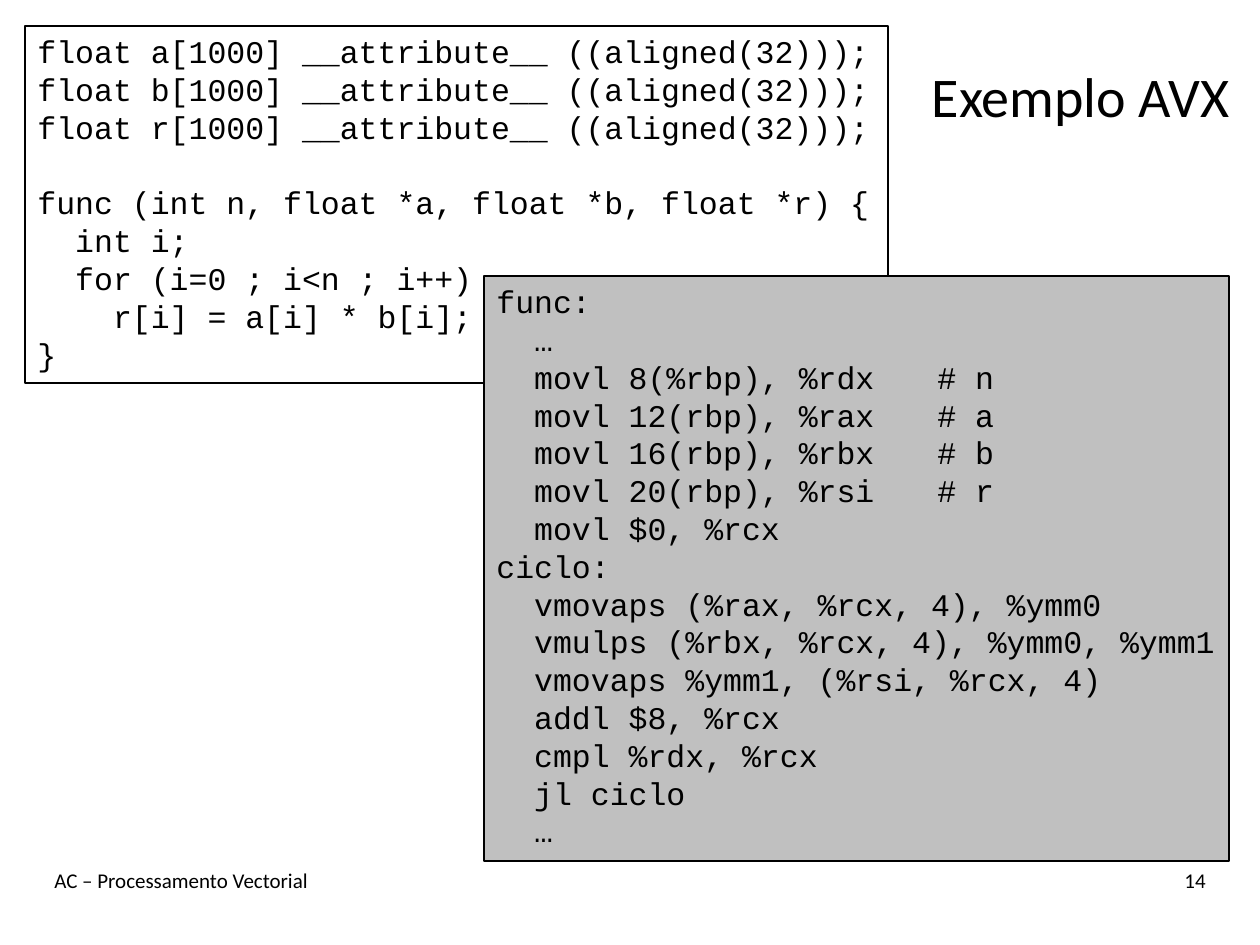
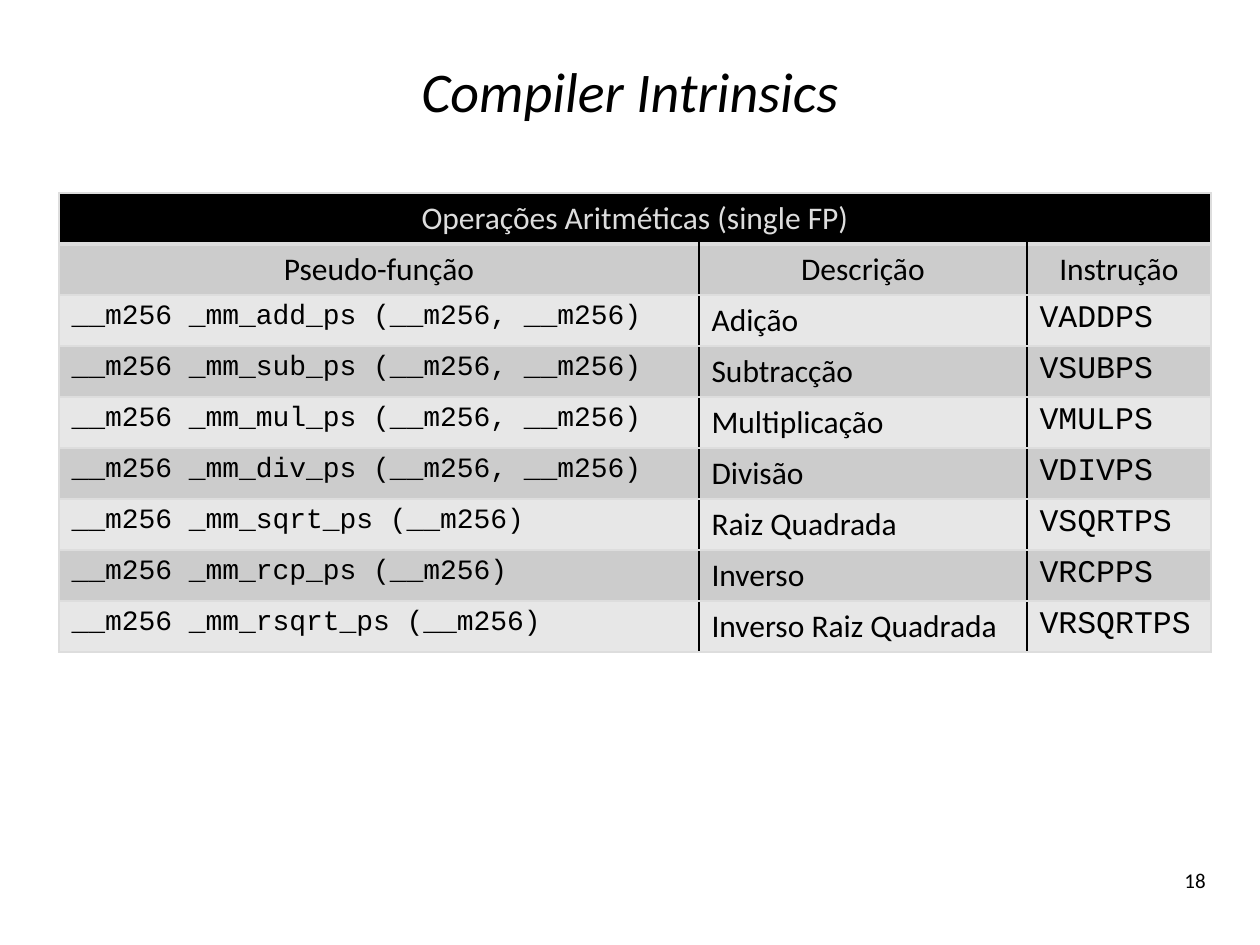
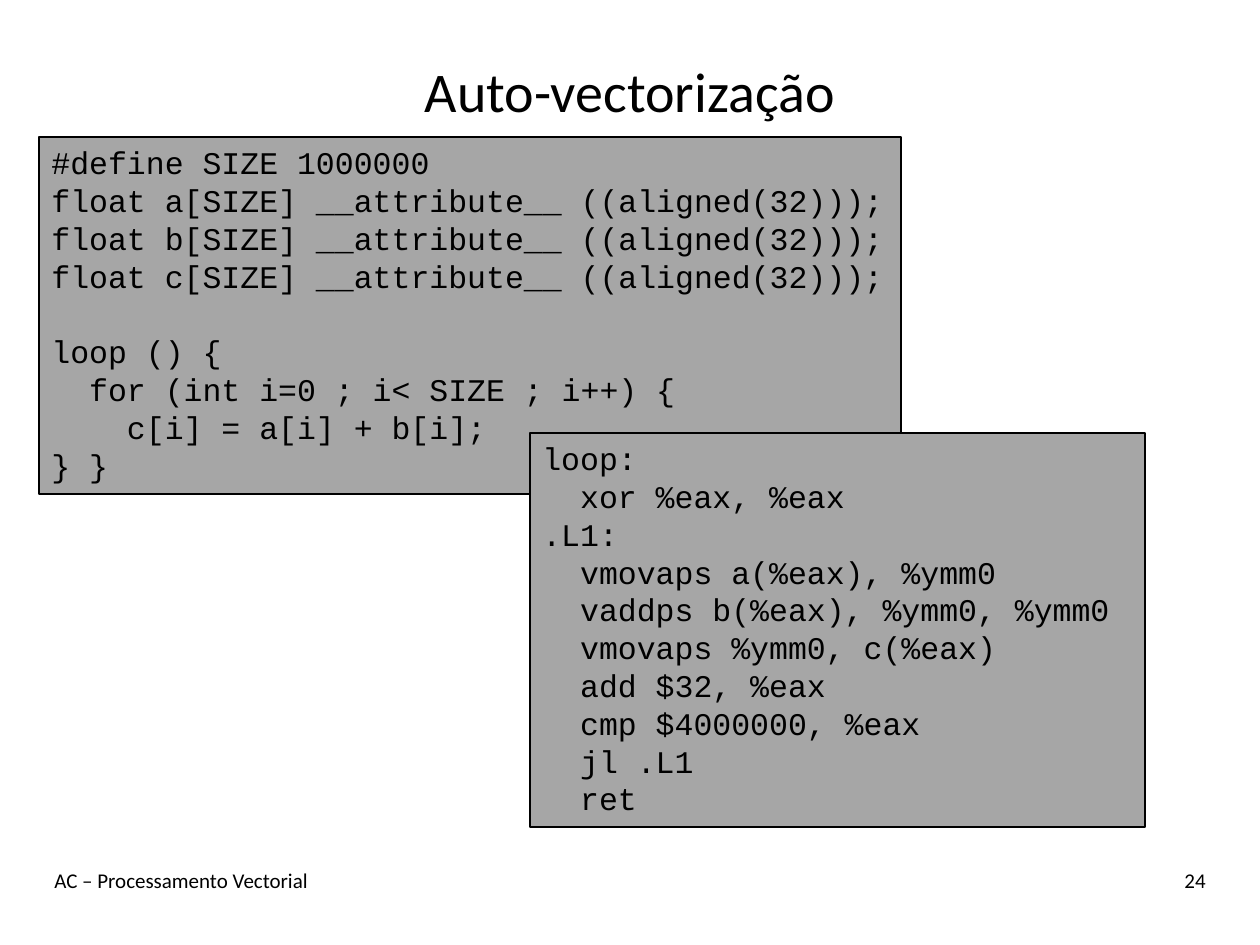
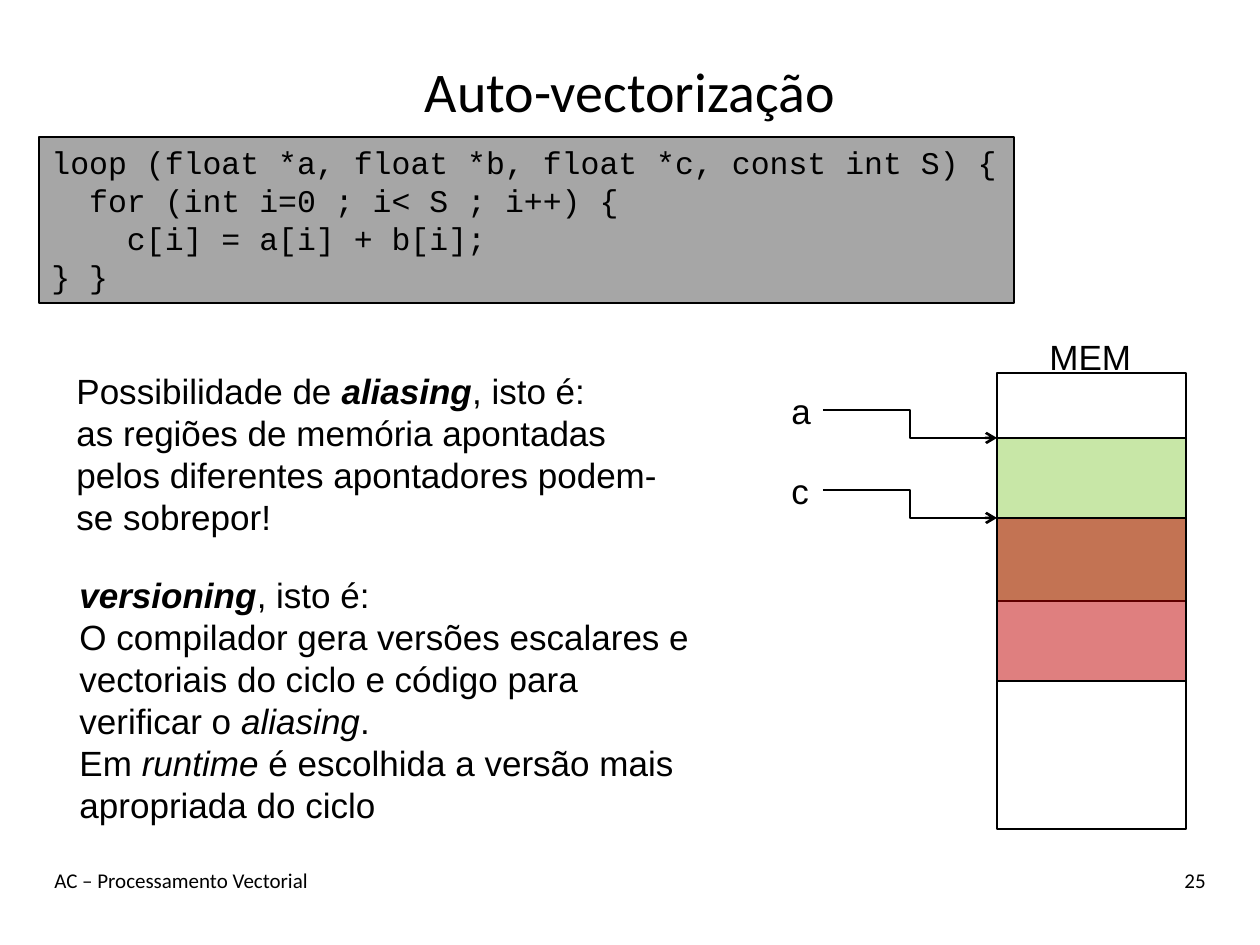
from dataclasses import dataclass
from lxml import etree
from pptx import Presentation
from pptx import util as u
from pptx.dml.color import RGBColor
from pptx.enum import shapes, text
from pptx.oxml import ns

PX = u.Inches(1) / 126


def px(length):
    return u.Emu(round(length * PX))


@dataclass(frozen=True)
class Theme:
    black: str = "000000"
    silver: str = "C0C0C0"
    gray: str = "A6A6A6"
    rule: str = "DDDDDD"
    band_dark: str = "CCCCCC"
    band_light: str = "E7E7E7"
    green: str = "92D050"
    red: str = "C00000"
    body: str = "Calibri"
    mono: str = "Courier New"
    sans: str = "Arial"
    title_size: int = 32
    note_size: int = 20
    code_size: int = 18
    signature_size: int = 16
    footer_size: int = 12
    leading: float = 1.2
    mono_width: float = 0.6


THEME = Theme()
LEFT, CENTER, RIGHT = (text.PP_ALIGN.LEFT, text.PP_ALIGN.CENTER,
                       text.PP_ALIGN.RIGHT)


def child(parent, tag, **attributes):
    return etree.SubElement(parent, ns.qn(tag), attributes)


def write(frame, paragraphs, *, font=THEME.body, size=18, color=THEME.black,
          align=LEFT, italic=False, leading=None):
    """Fill a frame; a paragraph is a string or a list of (words, style) spans,
    where a style holds "b" for bold and "i" for italic. Return the paragraphs."""
    written = []
    for index, content in enumerate(paragraphs):
        para = frame.add_paragraph() if index else frame.paragraphs[0]
        para.alignment = align
        if leading:
            para.line_spacing = u.Pt(size * leading)
        spans = [(content, "")] if isinstance(content, str) else content
        for words, style in spans:
            span = para.add_run()
            span.text = words
            span.font.name, span.font.size = font, u.Pt(size)
            span.font.color.rgb = RGBColor.from_string(color)
            span.font.bold = "b" in style
            span.font.italic = italic or "i" in style
        written.append(para)
    return written


class Slides:
    def __init__(self, theme):
        self.theme = theme
        self.deck = Presentation()
        self.deck.slide_width, self.deck.slide_height = px(1260), px(945)
        self.page = None

    def new_page(self, title, number, footer="AC – Processamento Vectorial",
                 title_at=(42, 32, 1176, 116), italic=False):
        self.page = self.deck.slides.add_slide(self.deck.slide_layouts[6])
        self.label(title_at, [title], size=self.theme.title_size, align=CENTER,
                   italic=italic, anchor=text.MSO_ANCHOR.MIDDLE)
        small = self.theme.footer_size
        if footer:
            self.label((42, 861, 882, 63), [footer], size=small)
        self.label((1050, 861, 168, 63), [str(number)], size=small, align=RIGHT)

    def label(self, at, paragraphs, wrap=True, anchor=text.MSO_ANCHOR.TOP,
              **style):
        box = self.page.shapes.add_textbox(*map(px, at))
        box.text_frame.word_wrap = wrap
        box.text_frame.vertical_anchor = anchor
        write(box.text_frame, paragraphs, **style)

    def note(self, at, paragraphs, wrap=True):
        self.label(at, paragraphs, wrap, font=self.theme.sans,
                   size=self.theme.note_size, leading=self.theme.leading)

    def rectangle(self, at, fill=None, line=0.75, opacity=None):
        box = self.page.shapes.add_shape(shapes.MSO_SHAPE.RECTANGLE,
                                         *map(px, at))
        box.shadow.inherit = False
        box.line.color.rgb = RGBColor.from_string(self.theme.black)
        box.line.width = u.Pt(line)
        if fill is None:
            box.fill.background()
            return box
        box.fill.solid()
        box.fill.fore_color.rgb = RGBColor.from_string(fill)
        if opacity:
            color = box.fill._xPr.find(".//" + ns.qn("a:srgbClr"))
            child(color, "a:alpha", val=str(opacity * 1000))
        return box

    def code(self, at, listing, fill=None):
        """Boxed listing: indents, blank lines and trailing comments become
        paragraph indents, spacing and tab stops."""
        theme = self.theme
        frame = self.rectangle(at, fill).text_frame
        frame.word_wrap = False
        frame.vertical_anchor = text.MSO_ANCHOR.TOP
        column = theme.code_size * theme.mono_width
        lines, layout, blank = [], [], False
        for line in listing.strip("\n").split("\n"):
            if not line:
                blank = True
                continue
            body = line.lstrip()
            stop = line.find("#")
            if stop > 0:
                body = line[:stop].strip() + "\t" + line[stop:]
            lines.append(body)
            layout.append((len(line) - len(line.lstrip()), stop, blank))
            blank = False
        paragraphs = write(frame, lines, font=theme.mono, size=theme.code_size,
                           leading=theme.leading)
        for para, (indent, stop, gap) in zip(paragraphs, layout):
            if gap:
                para.space_before = u.Pt(theme.code_size * theme.leading)
            properties = para._p.get_or_add_pPr()
            properties.set("marL", "0")
            properties.set("indent", str(u.Pt(indent * column)))
            if stop > 0:
                tabs = child(properties, "a:tabLst")
                child(tabs, "a:tab", pos=str(u.Pt(stop * column)), algn="l")

    def elbow_arrow(self, start, end):
        arrow = self.page.shapes.add_connector(
            shapes.MSO_CONNECTOR.ELBOW, *map(px, start + end))
        arrow.line.color.rgb = RGBColor.from_string(self.theme.black)
        arrow.line.width = u.Pt(1.5)
        child(arrow.line._get_or_add_ln(), "a:tailEnd", type="arrow")
        child(arrow._element.spPr, "a:effectLst")

    def cell(self, cell, words, fill, borders, **style):
        write(cell.text_frame, [words] if words else [], **style)
        properties = cell._tc.get_or_add_tcPr()
        for side, (color, width) in zip("LRTB", borders):
            line = child(properties, "a:ln" + side, w=str(u.Pt(width)))
            child(child(line, "a:solidFill"), "a:srgbClr", val=color)
        cell.fill.solid()
        cell.fill.fore_color.rgb = RGBColor.from_string(fill)

    def table(self, left, top, widths, row_height, heading, rows):
        theme = self.theme
        count = len(rows) + 1
        grid = self.page.shapes.add_table(
            count, len(widths), px(left), px(top), px(sum(widths)),
            px(row_height * count)).table
        for column, width in zip(grid.columns, widths):
            column.width = px(width)
        for row in grid.rows:
            row.height = px(row_height)

        pale, dark, thick = (theme.rule, 1), (theme.black, 1), (theme.rule, 3)
        last = len(widths) - 1
        grid.cell(0, 0).merge(grid.cell(0, last))
        for c in range(len(widths)):
            self.cell(grid.cell(0, c), "" if c else heading, theme.black,
                      (pale, pale, pale, thick), color=theme.rule, align=CENTER)
        fonts = [(theme.mono, theme.signature_size),
                 (theme.body, theme.code_size), (theme.mono, theme.code_size)]
        for r, row in enumerate(rows, 1):
            for c, words in enumerate(row):
                font, size = fonts[c] if r > 1 else fonts[1]
                self.cell(grid.cell(r, c), words,
                          theme.band_dark if r % 2 else theme.band_light,
                          (dark if c else pale, dark if c < last else pale,
                           thick if r == 1 else pale, pale),
                          font=font, size=size,
                          align=LEFT if r > 1 else CENTER)


AVX_SOURCE = """
float a[1000] __attribute__ ((aligned(32)));
float b[1000] __attribute__ ((aligned(32)));
float r[1000] __attribute__ ((aligned(32)));

func (int n, float *a, float *b, float *r) {
  int i;
  for (i=0 ; i<n ; i++)
    r[i] = a[i] * b[i];
}
"""

AVX_ASSEMBLY = """
func:
  …
  movl 8(%rbp), %rdx    # n
  movl 12(rbp), %rax   # a
  movl 16(rbp), %rbx   # b
  movl 20(rbp), %rsi   # r
  movl $0, %rcx
ciclo:
  vmovaps (%rax, %rcx, 4), %ymm0
  vmulps (%rbx, %rcx, 4), %ymm0, %ymm1
  vmovaps %ymm1, (%rsi, %rcx, 4)
  addl $8, %rcx
  cmpl %rdx, %rcx
  jl ciclo
  …
"""

LOOP_SOURCE = """
#define SIZE 1000000
float a[SIZE] __attribute__ ((aligned(32)));
float b[SIZE] __attribute__ ((aligned(32)));
float c[SIZE] __attribute__ ((aligned(32)));

loop () {
  for (int i=0 ; i< SIZE ; i++) {
    c[i] = a[i] + b[i];
} }
"""

LOOP_ASSEMBLY = """
loop:
  xor %eax, %eax
.L1:
  vmovaps a(%eax), %ymm0
  vaddps b(%eax), %ymm0, %ymm0
  vmovaps %ymm0, c(%eax)
  add $32, %eax
  cmp $4000000, %eax
  jl .L1
  ret
"""

POINTER_LOOP = """
loop (float *a, float *b, float *c, const int S) {
  for (int i=0 ; i< S ; i++) {
    c[i] = a[i] + b[i];
} }
"""

# Name, number of arguments, description
INTRINSICS = [
    ("add", 2, "Adição"),
    ("sub", 2, "Subtracção"),
    ("mul", 2, "Multiplicação"),
    ("div", 2, "Divisão"),
    ("sqrt", 1, "Raiz Quadrada"),
    ("rcp", 1, "Inverso"),
    ("rsqrt", 1, "Inverso Raiz Quadrada"),
]


def main():
    slides = Slides(THEME)

    # AVX example
    slides.new_page("Exemplo AVX", 14, title_at=(917, 37, 328, 116))
    slides.code((25, 26, 863, 357), AVX_SOURCE)
    slides.code((484, 276, 745, 585), AVX_ASSEMBLY, THEME.silver)

    # Table of intrinsics
    slides.new_page("Compiler Intrinsics", 18, footer=None, italic=True)
    rows = [("Pseudo-função", "Descrição", "Instrução")]
    for name, arguments, description in INTRINSICS:
        operands = ", ".join(["__m256"] * arguments)
        rows.append((f"__m256 _mm_{name}_ps ({operands})", description,
                     f"V{name.upper()}PS"))
    slides.table(59, 193, (640, 328, 184), 51,
                 "Operações Aritméticas (single FP)", rows)

    # Automatic vectorisation
    slides.new_page("Auto-vectorização", 24)
    slides.code((39, 137, 862, 357), LOOP_SOURCE, THEME.gray)
    slides.code((530, 433, 615, 394), LOOP_ASSEMBLY, THEME.gray)

    # Aliasing and versioning
    slides.new_page("Auto-vectorização", 25)
    slides.code((39, 137, 975, 166), POINTER_LOOP, THEME.gray)
    slides.note((64, 363, 635, 183), [
        [("Possibilidade de ", ""), ("aliasing", "bi"), (", isto é:", "")],
        "as regiões de memória apontadas pelos diferentes apontadores "
        "podem-se sobrepor!",
    ])

    # Memory with two overlapping regions
    slides.rectangle((997, 373, 189, 456), line=1.25)
    slides.note((1037, 329, 108, 55), ["MEM"], wrap=False)
    for pointer, top, color in (("a", 438, THEME.green), ("c", 518, THEME.red)):
        slides.note((779, top - 55, 44, 55), [pointer], wrap=False)
        slides.rectangle((997, top, 189, 163), color, opacity=50)
        slides.elbow_arrow((823, top - 28), (997, top))

    slides.note((67, 567, 635, 267), [
        [("versioning", "bi"), (", isto é:", "")],
        [("O compilador gera versões escalares e vectoriais do ciclo e código "
          "para verificar o ", ""), ("aliasing", "i"), (".", "")],
        [("Em ", ""), ("runtime", "i"),
         (" é escolhida a versão mais apropriada do ciclo", "")],
    ])

    slides.deck.save("out.pptx")


if __name__ == "__main__":
    main()
